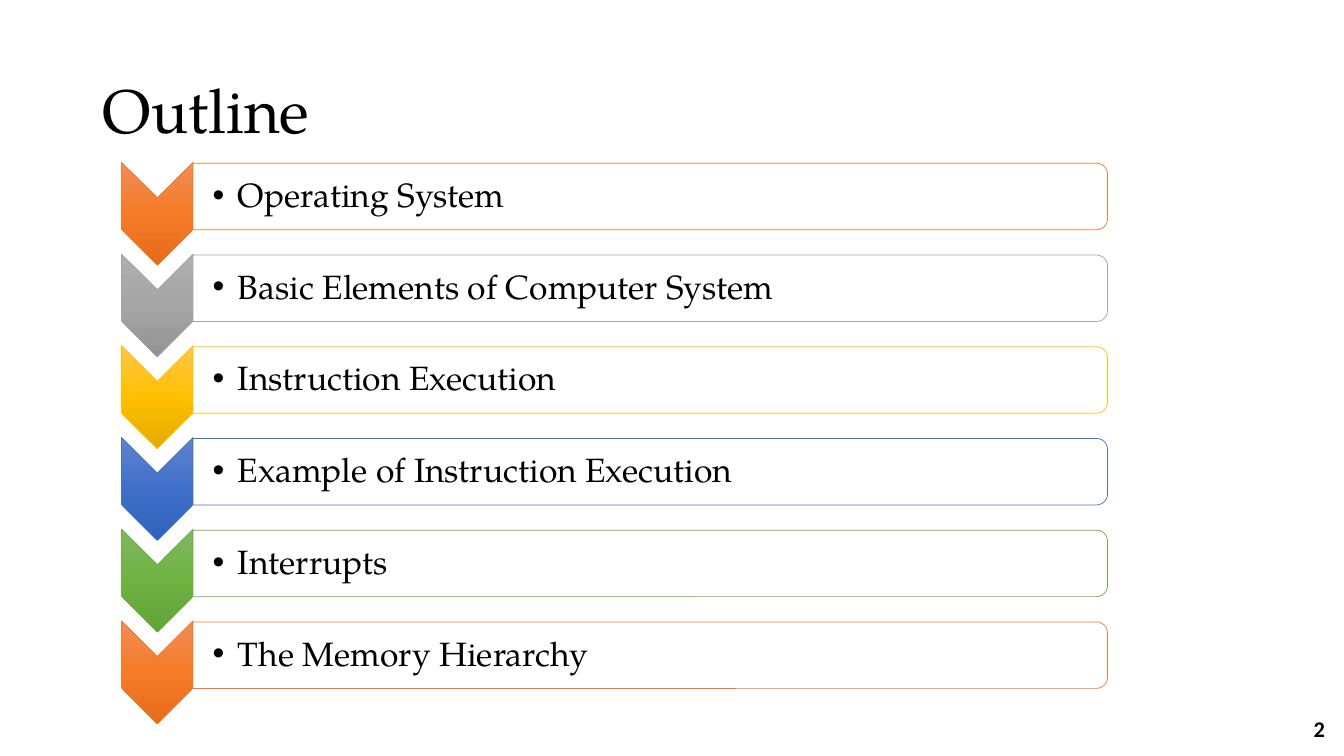
from lxml.etree import SubElement
from pptx import Presentation
from pptx.dml.color import RGBColor
from pptx.enum.shapes import MSO_SHAPE
from pptx.enum.text import MSO_ANCHOR, PP_ALIGN
from pptx.oxml.ns import qn
from pptx.util import Pt

PX = 9144  # 100 px to the inch
SERIF = "TeX Gyre Pagella"
INK = {
    "black": "000000",
    "white": "FFFFFF",
    "orange": "ED7D31",
    "grey": "A5A5A5",
    "gold": "FFC000",
    "blue": "4472C4",
    "green": "70AD47",
}
SHADES = {
    "orange": ("F18C57", "F67B28", "E56C19"),
    "grey": ("AFAFAF", "A5A5A5", "939393"),
    "gold": ("FFC64B", "FFC000", "E3AB00"),
    "blue": ("6183CB", "3E70CA", "3062BB"),
    "green": ("81B861", "6FB242", "62A336"),
}
TOPICS = [
    ("Operating System", "orange"),
    ("Basic Elements of Computer System", "grey"),
    ("Instruction Execution", "gold"),
    ("Example of Instruction Execution", "blue"),
    ("Interrupts", "green"),
    ("The Memory Hierarchy", "orange"),
]
STEP = 91


def write(frame, text, face, **extra):
    frame.word_wrap = True
    frame.vertical_anchor = MSO_ANCHOR.MIDDLE
    para = frame.paragraphs[0]
    run = para.add_run()
    run.text = text
    for key, value in {"name": face, **extra}.items():
        setattr(run.font, key, value)
    run.font.color.rgb = RGBColor.from_string(INK["black"])
    return para


def turned(kind, mid_x, mid_y, wide, high, hue):
    """Add a shape rotated by a quarter turn about its centre."""
    box = (mid_x - wide / 2, mid_y - high / 2, wide, high)
    shape = slide.shapes.add_shape(kind, *(int(n * PX) for n in box))
    shape.rotation = 90
    shape.shadow.inherit = False
    shape.line.color.rgb = RGBColor.from_string(INK[hue])
    shape.line.width = Pt(0.5)
    shape.fill.solid()
    shape.fill.fore_color.rgb = RGBColor.from_string(INK["white"])
    return shape


deck = Presentation()
deck.slide_width, deck.slide_height = 1333 * PX, 750 * PX
slide = deck.slides.add_slide(deck.slide_layouts[5])

# Title
title = slide.shapes.title
place = {"left": 92, "top": 40, "width": 1150, "height": 145}
for key, value in place.items():
    setattr(title, key, value * PX)
para = write(title.text_frame, "Outline", SERIF, size=Pt(44))
para.alignment = PP_ALIGN.LEFT
para.line_spacing = 0.9

# Slide number
number = slide.shapes.add_textbox(1024 * PX, 703 * PX, 300 * PX, 40 * PX)
para = write(number.text_frame, "2", "Calibri", size=Pt(16), bold=True)
para.alignment = PP_ALIGN.RIGHT

# Topic rows
for row, (topic, hue) in enumerate(TOPICS):
    shift = row * STEP

    # Chevron with a gradient from top to bottom
    arrow = turned(MSO_SHAPE.CHEVRON, 156, 212 + shift, 102, 71, hue)
    plain = arrow._element.spPr.find(qn("a:solidFill"))
    grad = SubElement(arrow._element.spPr, qn("a:gradFill"), rotWithShape="0")
    plain.getparent().replace(plain, grad)
    stops = SubElement(grad, qn("a:gsLst"))
    for spot, shade in enumerate(SHADES[hue]):
        stop = SubElement(stops, qn("a:gs"), pos=str(spot * 50000))
        SubElement(stop, qn("a:srgbClr"), val=shade)
    SubElement(grad, qn("a:lin"), ang="5400000", scaled="0")

    # Bar with rounded right corners
    bar = turned(MSO_SHAPE.ROUND_2_SAME_RECTANGLE, 645, 195 + shift, 66, 907, hue)
    white = bar._element.spPr.find(qn("a:solidFill"))[0]
    SubElement(white, qn("a:alpha"), val="90000")

    # Bulleted label
    label = slide.shapes.add_textbox(192 * PX, (165 + shift) * PX, 904 * PX, 60 * PX)
    frame = label.text_frame
    inset = {"left": 19, "top": 2, "right": 2, "bottom": 2}
    for side, value in inset.items():
        setattr(frame, "margin_" + side, value * PX)
    para = write(frame, topic, SERIF, size=Pt(24))
    para.line_spacing = 0.9
    props = para._p.get_or_add_pPr()
    props.set("marL", str(25 * PX))
    props.set("indent", str(-25 * PX))
    SubElement(props, qn("a:buFont"), typeface="Arial")
    SubElement(props, qn("a:buChar"), char="•")

deck.save("out.pptx")
